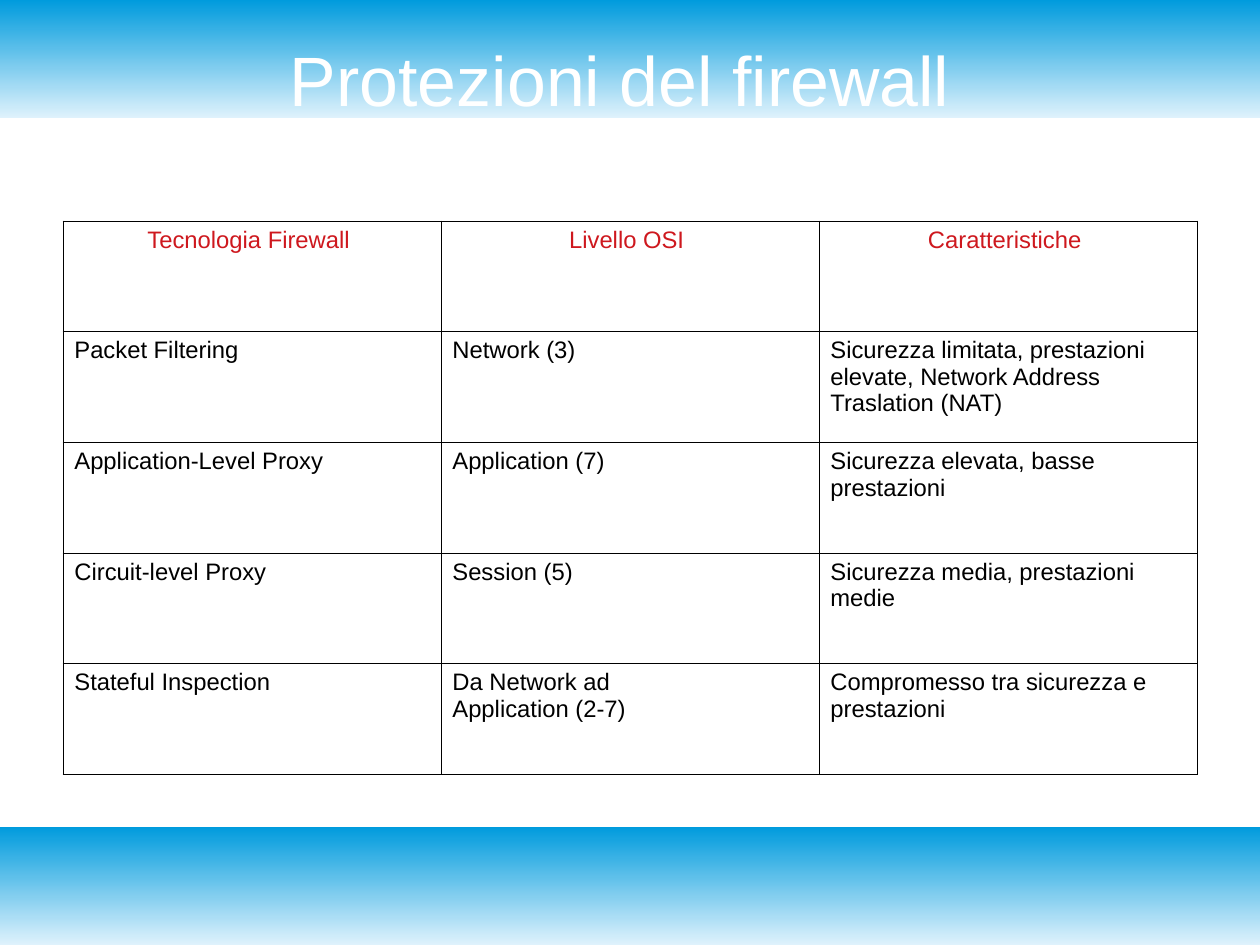
from dataclasses import dataclass

from lxml.etree import SubElement
from pptx import Presentation
from pptx.dml.color import RGBColor as Color
from pptx.enum.shapes import MSO_SHAPE as Shape
from pptx.enum.text import MSO_ANCHOR as Anchor, PP_ALIGN as Align
from pptx.oxml.ns import qn
from pptx.util import Cm, Pt

# Content
TITLE = "Protezioni del firewall "
HEADER = ("Tecnologia Firewall ", "Livello OSI ", "Caratteristiche ")
ROWS = [
    ("Packet Filtering", "Network (3)",
     "Sicurezza limitata, prestazioni\nelevate, Network Address\nTraslation (NAT)"),
    ("Application-Level Proxy", "Application (7)",
     "Sicurezza elevata, basse prestazioni"),
    ("Circuit-level Proxy", "Session (5)",
     "Sicurezza media, prestazioni\nmedie"),
    ("Stateful Inspection", "Da Network ad\nApplication (2-7)",
     "Compromesso tra sicurezza e\nprestazioni"),
]


@dataclass(frozen=True)
class Theme:
    font: str = "Arial"
    title_size: float = 44
    cell_size: float = 15
    border_width: float = 0.57
    title: str = "FFFFFF"
    header: str = "CE181E"
    body: str = "000000"
    border: str = "000000"
    band: tuple = ("DFF2FC", "009BDD")  # bottom, top


THEME = Theme()

# Layout
WIDTH, HEIGHT = Cm(28), Cm(21)
MARGIN = WIDTH // 20
CONTENT_WIDTH = WIDTH - 2 * MARGIN
BAND_HEIGHT = HEIGHT // 8
TITLE_HEIGHT = Cm(1.78)
TABLE_TOP = Cm(4.91)
ROW_HEIGHT = Cm(2.46)


def style_text(frame, size, color, align):
    for para in frame.paragraphs:
        para.alignment = align
        for run in para.runs:
            run.font.name = THEME.font
            run.font.size = Pt(size)
            run.font.color.rgb = Color.from_string(color)


def add_band(page, top):
    band = page.shapes.add_shape(Shape.RECTANGLE, 0, top, WIDTH, BAND_HEIGHT)
    band.shadow.inherit = False
    band.line.fill.background()
    band.fill.gradient()
    band.fill.gradient_angle = 90
    for stop, color in zip(band.fill.gradient_stops, THEME.band):
        stop.color.rgb = Color.from_string(color)


def place_title(page):
    title = page.shapes.title
    title.left, title.top = MARGIN, BAND_HEIGHT - TITLE_HEIGHT
    title.width, title.height = CONTENT_WIDTH, TITLE_HEIGHT
    frame = title.text_frame
    frame.text = TITLE
    frame.vertical_anchor = Anchor.MIDDLE
    frame.margin_left = frame.margin_right = 0
    frame.margin_top = frame.margin_bottom = 0
    style_text(frame, THEME.title_size, THEME.title, Align.CENTER)
    # Bring the title in front of the bands
    page.shapes.element.append(title.element)


def add_borders(cell):
    properties = cell._tc.get_or_add_tcPr()
    for side in ("a:lnL", "a:lnR", "a:lnT", "a:lnB"):
        line = SubElement(properties, qn(side), w=str(Pt(THEME.border_width)))
        fill = SubElement(line, qn("a:solidFill"))
        SubElement(fill, qn("a:srgbClr"), val=THEME.border)


def add_firewall_table(page):
    grid = [HEADER, *ROWS]
    table = page.shapes.add_table(
        len(grid), len(HEADER), MARGIN, TABLE_TOP,
        CONTENT_WIDTH, ROW_HEIGHT * len(grid)).table
    table.first_row = table.horz_banding = False
    for row_index, texts in enumerate(grid):
        is_header = row_index == 0
        color = THEME.header if is_header else THEME.body
        align = Align.CENTER if is_header else Align.LEFT
        for column_index, text in enumerate(texts):
            cell = table.cell(row_index, column_index)
            cell.text_frame.text = text
            style_text(cell.text_frame, THEME.cell_size, color, align)
            add_borders(cell)
            cell.fill.background()


def main():
    deck = Presentation()
    deck.slide_width, deck.slide_height = WIDTH, HEIGHT
    page = deck.slides.add_slide(deck.slide_layouts.get_by_name("Title Only"))
    for top in (0, HEIGHT - BAND_HEIGHT):
        add_band(page, top)
    place_title(page)
    add_firewall_table(page)
    deck.save("out.pptx")


if __name__ == "__main__":
    main()
